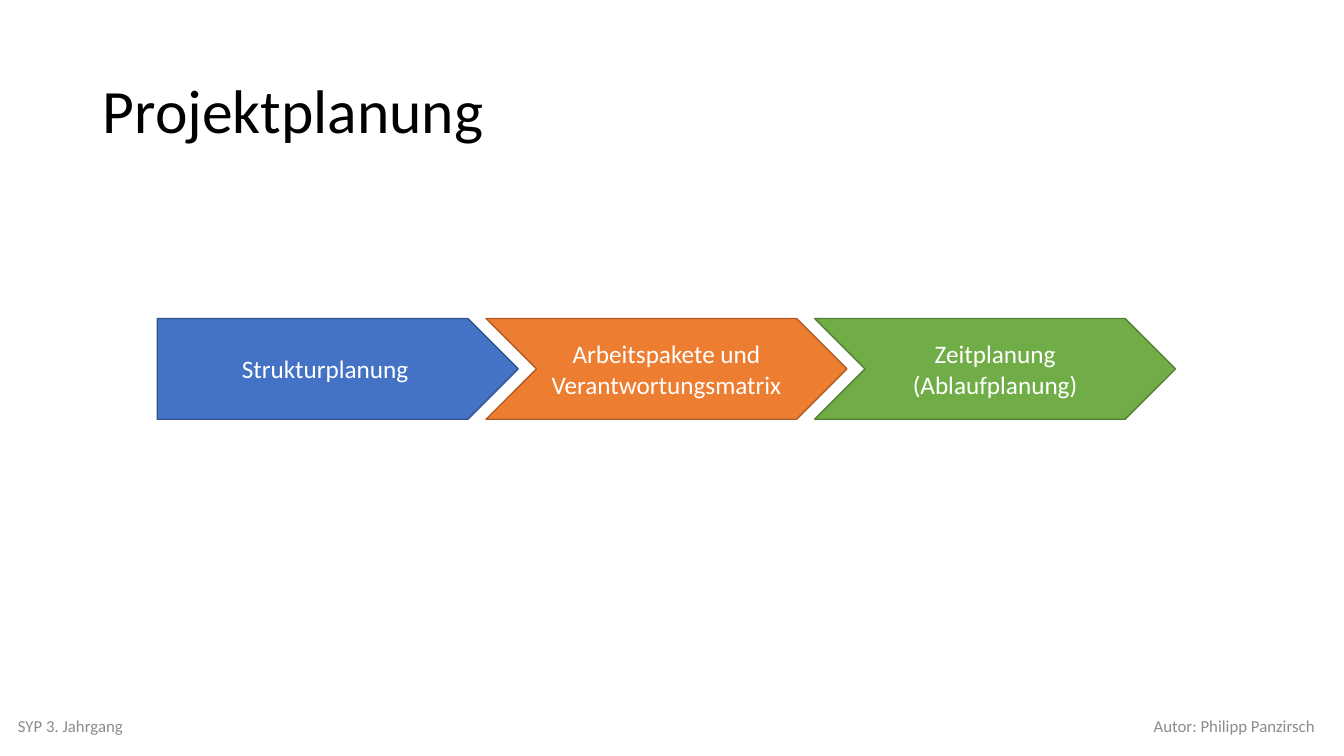
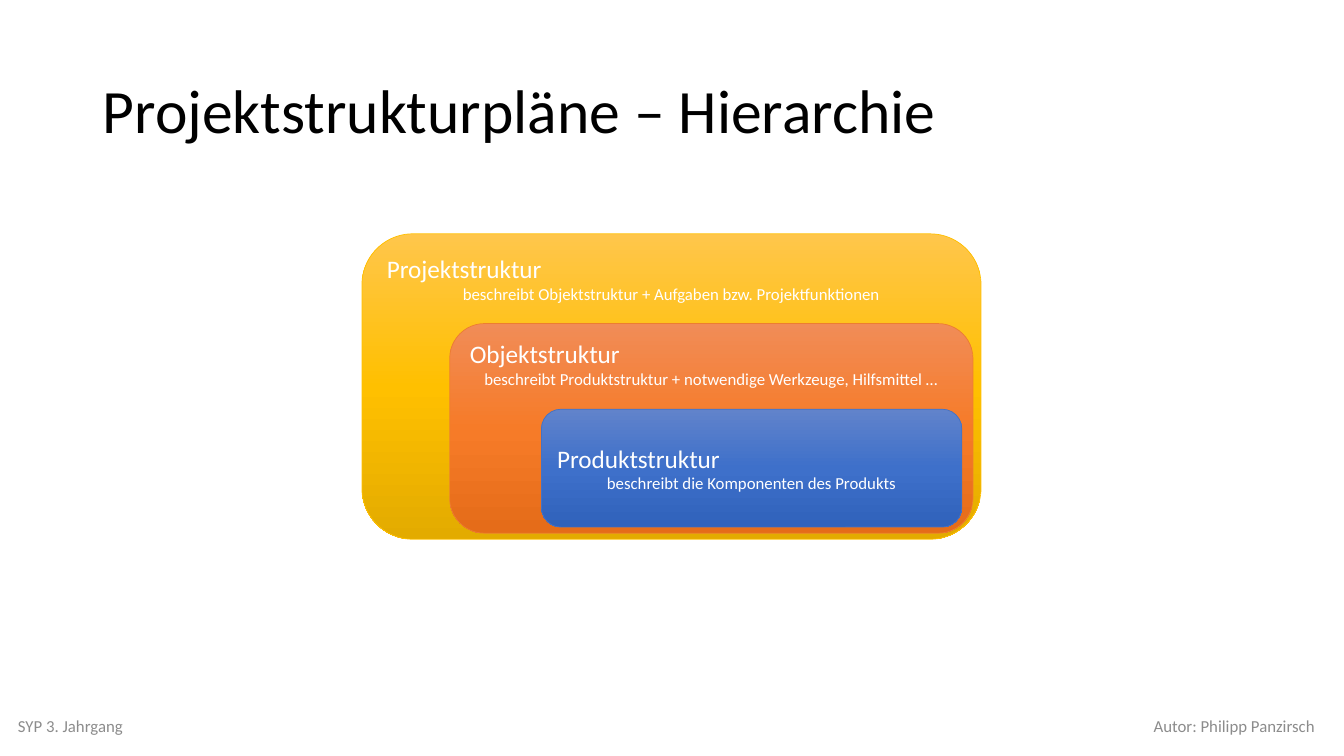
from copy import deepcopy
from pptx import Presentation
from pptx.dml.color import RGBColor
from pptx.enum import shapes, text
from pptx.oxml.ns import qn
from pptx.util import Inches, Pt

HUES = {
    "black": "000000", "white": "FFFFFF", "grey": "8C8C8C",
    "blue": "4472C4", "navy": "325491",
    "orange": "ED7D31", "rust": "AF5C24",
    "green": "70AD47", "moss": "538035", "gold": "FFC000",
}
FADES = {
    "gold": ("FFC64B", "FFC000", "E3AB00"),
    "orange": ("F18C57", "F67B28", "E56C19"),
    "blue": ("6183CB", "3E70CA", "3062BB"),
}
KIND = shapes.MSO_SHAPE
LEFT, MID, RIGHT = text.PP_ALIGN.LEFT, text.PP_ALIGN.CENTER, text.PP_ALIGN.RIGHT
TOP, CORE = text.MSO_ANCHOR.TOP, text.MSO_ANCHOR.MIDDLE


class Deck:
    font = "Calibri"

    def __init__(self):
        self.file = Presentation()
        self.file.slide_width = Inches(13.33)
        self.file.slide_height = Inches(7.5)

    def page(self, title):
        self.slide = self.file.slides.add_slide(self.file.slide_layouts[5])
        head = self.slide.shapes.title
        self.place(head, 0.92, 0.4, 11.5, 1.45)
        self.letter(head, [(title, 44, LEFT)], "black")
        head.text_frame.paragraphs[0].line_spacing = 0.9
        self.label("SYP 3. Jahrgang", 0.08, LEFT)
        self.label("Autor: Philipp Panzirsch", 8.64, RIGHT)

    def place(self, shape, x, y, w, h):
        shape.left, shape.top = Inches(x), Inches(y)
        shape.width, shape.height = Inches(w), Inches(h)

    def letter(self, shape, lines, hue, anchor=CORE):
        frame = shape.text_frame
        frame.word_wrap = True
        frame.vertical_anchor = anchor
        for i, (words, size, align) in enumerate(lines):
            para = frame.add_paragraph() if i else frame.paragraphs[0]
            para.alignment = align
            run = para.add_run()
            run.text = words
            run.font.name = self.font
            run.font.size = Pt(size)
            run.font.color.rgb = RGBColor.from_string(HUES[hue])

    def label(self, words, x, align):
        box = self.slide.shapes.add_textbox(
            Inches(x), Inches(7), Inches(4.5), Inches(0.4))
        self.letter(box, [(words, 12, align)], "grey")

    def shape(self, kind, x, y, w, h, edge, width):
        item = self.slide.shapes.add_shape(
            kind, Inches(x), Inches(y), Inches(w), Inches(h))
        item.shadow.inherit = False
        item.line.color.rgb = RGBColor.from_string(HUES[edge])
        item.line.width = Pt(width)
        return item

    def step(self, kind, x, fill, edge, lines):
        item = self.shape(kind, x, 3.16, 3.58, 1, edge, 1)
        item.fill.solid()
        item.fill.fore_color.rgb = RGBColor.from_string(HUES[fill])
        self.letter(item, [(line, 18, MID) for line in lines], "white")

    def layer(self, x, y, w, h, hue, name, note, anchor):
        item = self.shape(KIND.ROUNDED_RECTANGLE, x, y, w, h, hue, 0.5)
        item.fill.gradient()
        item.fill.gradient_angle = 270
        stops = next(item._element.spPr.iter(qn("a:gsLst")))
        stops.insert(1, deepcopy(stops[0]))
        for i, (stop, tone) in enumerate(zip(item.fill.gradient_stops, FADES[hue])):
            stop.position = i / 2
            stop.color.rgb = RGBColor.from_string(tone)
        self.letter(item, [(name, 18, LEFT), (note, 12, MID)], "white", anchor)


deck = Deck()

deck.page("Projektplanung")
steps = [
    (KIND.PENTAGON, "blue", "navy", ["Strukturplanung"]),
    (KIND.CHEVRON, "orange", "rust", ["Arbeitspakete und Verantwortungsmatrix"]),
    (KIND.CHEVRON, "green", "moss", ["Zeitplanung", "(Ablaufplanung)"]),
]
for i, (kind, fill, edge, lines) in enumerate(steps):
    deck.step(kind, 1.56 + 3.26 * i, fill, edge, lines)

deck.page("Projektstrukturpläne – Hierarchie")
layers = [
    (3.59, 2.32, 6.14, 3.03, "gold", "Projektstruktur",
     "beschreibt Objektstruktur + Aufgaben bzw. Projektfunktionen", TOP),
    (4.46, 3.21, 5.19, 2.08, "orange", "Objektstruktur",
     "beschreibt Produktstruktur + notwendige Werkzeuge, Hilfsmittel …", TOP),
    (5.37, 4.06, 4.17, 1.17, "blue", "Produktstruktur",
     "beschreibt die Komponenten des Produkts", CORE),
]
for layer in layers:
    deck.layer(*layer)

deck.file.save("out.pptx")
